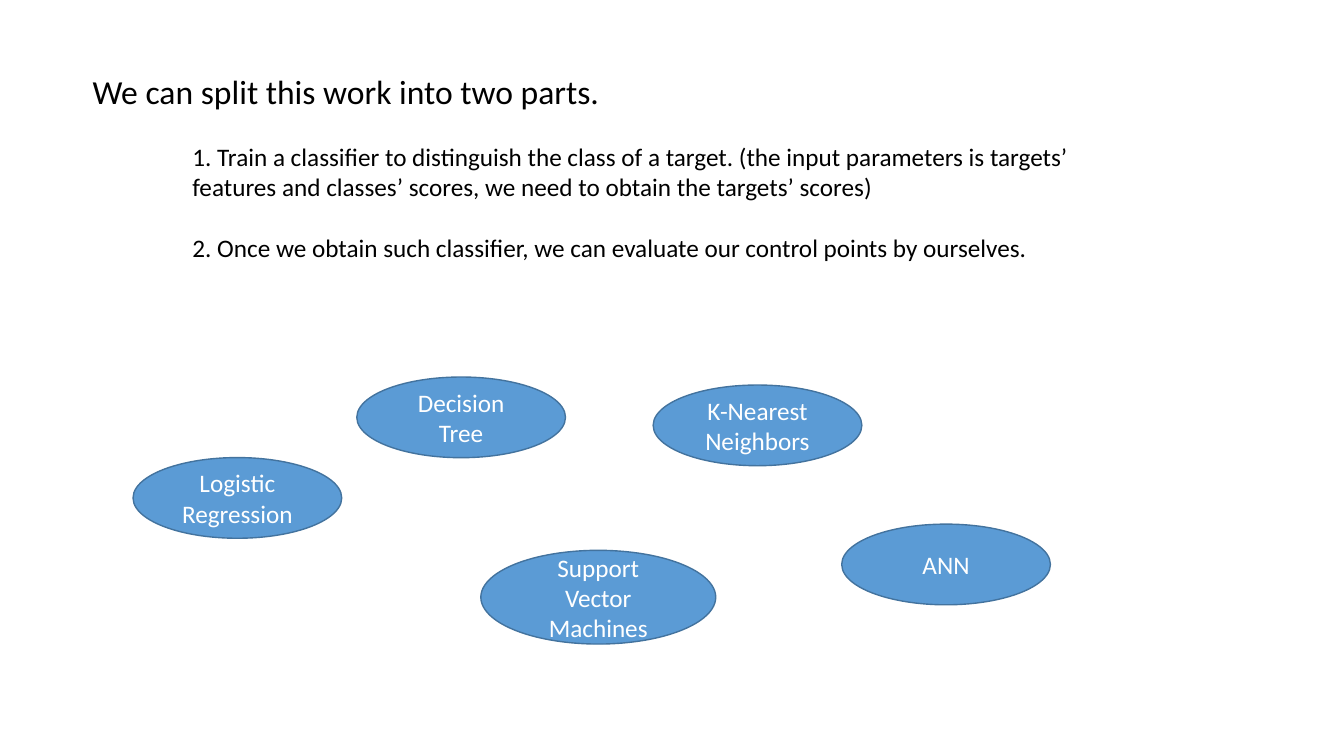
from pptx import Presentation, util as u
from pptx.dml.color import RGBColor
from pptx.enum import shapes, text

BLACK = RGBColor(0x00, 0x00, 0x00)
WHITE = RGBColor(0xFF, 0xFF, 0xFF)
BLUE = RGBColor(0x5B, 0x9B, 0xD5)
DARK_BLUE = RGBColor(0x43, 0x73, 0x9E)


class SlideBuilder:
    """Draws styled elements on one slide, placed in percent of its size."""

    font_name = "Calibri"

    def __init__(self, deck):
        self.deck = deck
        self.page = deck.slides.add_slide(deck.slide_layouts[6])

    def area(self, left, top, width, height):
        across, down = self.deck.slide_width / 100, self.deck.slide_height / 100
        return [round(value) for value in
                (left * across, top * down, width * across, height * down)]

    def fill_text(self, frame, lines, size, color, frame_format, para_format):
        for name, value in {"word_wrap": True, **frame_format}.items():
            setattr(frame, name, value)
        for index, line in enumerate(lines):
            para = frame.add_paragraph() if index else frame.paragraphs[0]
            for name, value in para_format.items():
                setattr(para, name, value)
            span = para.add_run()
            span.text = line
            span.font.color.rgb = color
            for name, value in {"name": self.font_name, "size": u.Pt(size)}.items():
                setattr(span.font, name, value)

    def text_box(self, area, lines, size, gap=0, auto_size=text.MSO_AUTO_SIZE.NONE):
        box = self.page.shapes.add_textbox(*self.area(*area))
        self.fill_text(box.text_frame, lines, size, BLACK,
                       {"auto_size": auto_size}, {"space_after": u.Pt(gap)})

    def ellipse(self, area, label):
        oval = self.page.shapes.add_shape(shapes.MSO_SHAPE.OVAL, *self.area(*area))
        oval.shadow.inherit = False
        oval.fill.solid()
        oval.fill.fore_color.rgb = BLUE
        oval.line.color.rgb = DARK_BLUE
        oval.line.width = u.Pt(1)
        self.fill_text(oval.text_frame, [label], 18, WHITE,
                       {"vertical_anchor": text.MSO_ANCHOR.MIDDLE},
                       {"alignment": text.PP_ALIGN.CENTER})


def main():
    deck = Presentation()
    deck.slide_width, deck.slide_height = u.Inches(13.33), u.Inches(7.5)
    slide = SlideBuilder(deck)
    slide.text_box((6.15, 8.67, 45.75, 6.67), ["We can split this work into two parts."],
                   24, auto_size=text.MSO_AUTO_SIZE.SHAPE_TO_FIT_TEXT)
    steps = [
        "1. Train a classifier to distinguish the class of a target. (the input parameters "
        "is targets’ features and classes’ scores, we need to obtain the targets’ scores)",
        "2. Once we obtain such classifier, we can evaluate our control points by ourselves.",
    ]
    slide.text_box((13.58, 18, 67.2, 19.6), steps, 18, gap=22)

    usual, large = (15.53, 10.67), (17.48, 12.4)
    classifiers = [
        ("Logistic Regression", (9.9, 60.53), usual),
        ("Decision Tree", (26.55, 49.87), usual),
        ("K-Nearest Neighbors", (48.6, 50.93), usual),
        ("Support Vector Machines", (35.78, 72.8), large),
        ("ANN", (62.63, 69.33), usual),
    ]
    for label, corner, size in classifiers:
        slide.ellipse(corner + size, label)
    deck.save("out.pptx")


if __name__ == "__main__":
    main()
